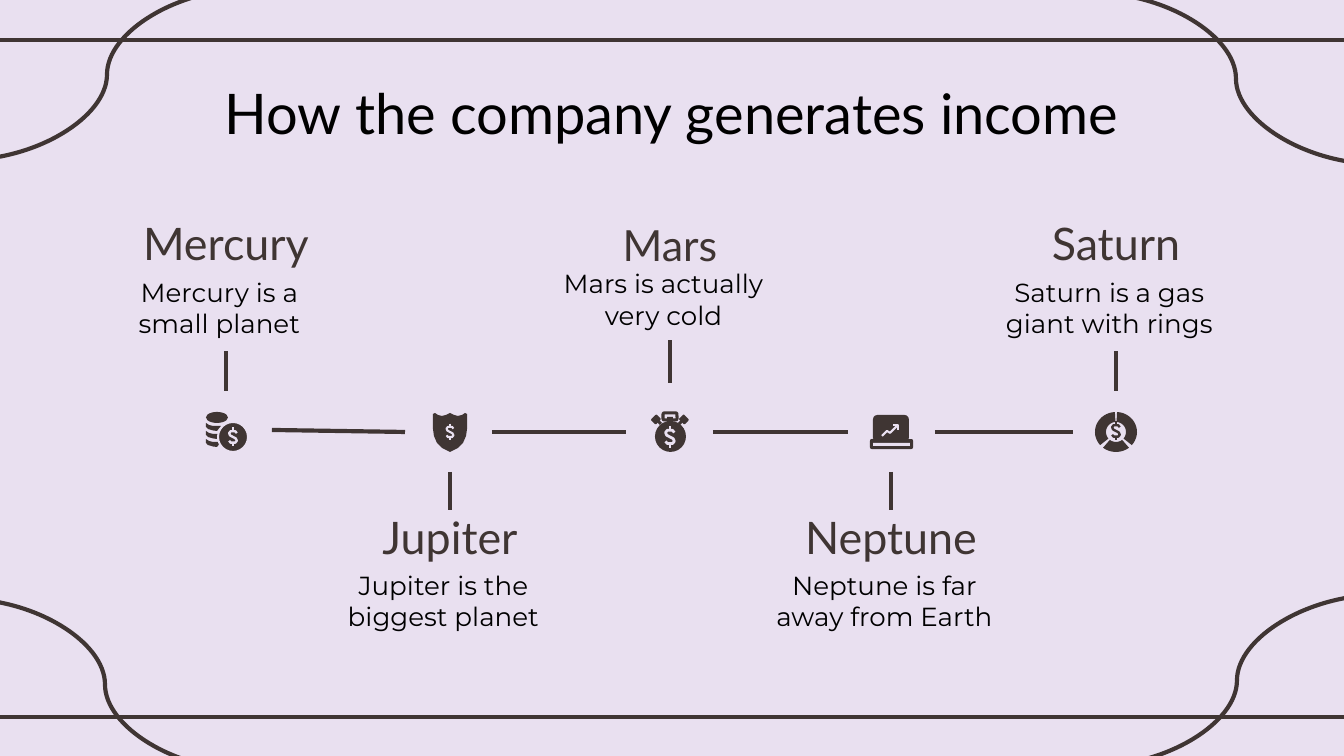
from math import cos, radians, sin

from lxml import etree
from pptx import Presentation
from pptx.dml.color import RGBColor
from pptx.enum.shapes import MSO_CONNECTOR, MSO_SHAPE
from pptx.enum.text import MSO_ANCHOR, MSO_AUTO_SIZE, PP_ALIGN
from pptx.oxml.ns import qn
from pptx.util import Emu, Pt

STRAIGHT, CURVE = MSO_CONNECTOR.STRAIGHT, MSO_CONNECTOR.CURVE
OVAL, ROUNDED, RECT = MSO_SHAPE.OVAL, MSO_SHAPE.ROUNDED_RECTANGLE, MSO_SHAPE.RECTANGLE
TOP, MIDDLE = MSO_ANCHOR.TOP, MSO_ANCHOR.MIDDLE
CENTER, NO_AUTOFIT = PP_ALIGN.CENTER, MSO_AUTO_SIZE.NONE

LILAC = RGBColor(0xE9, 0xE0, 0xF0)
BROWN = RGBColor(0x3F, 0x35, 0x33)
BLACK = RGBColor(0, 0, 0)
SCALE = 914400 / 134.4
AXIS_Y = 432

TITLE = "How the company generates income"
# heading, description, centre x, box width, heading (top, height, size),
# description (top, height), anchor, stem start y
UPPER = [
    ("Mercury", "Mercury is a small planet", 226, 238, (216, 43, 24), (276, 75), TOP, 391),
    ("Mars", "Mars is actually very cold", 670, 224, (219, 51, 23), (271, 69), MIDDLE, 383),
    ("Saturn", "Saturn is a gas giant with rings", 1116, 238, (216, 43, 24), (276, 75), TOP, 391),
]
LOWER = [
    ("Jupiter", "Jupiter is the biggest planet", 450, 238, (510, 47, 24), (569, 81), TOP, 472),
    ("Neptune", "Neptune is far away from Earth", 891, 238, (510, 47, 24), (569, 81), TOP, 472),
]
AXIS_LINKS = [(272, 430, 405, 432), (492, AXIS_Y, 626, AXIS_Y),
              (713, AXIS_Y, 848, AXIS_Y), (935, AXIS_Y, 1073, AXIS_Y)]
FRAME_LINES = [(-11, 40, 1355, 40), (-11, 717, 1355, 717)]
FRAME_CURVES = [(-36, 599, 246, 770), (1094, -7, 1378, 164),
                (1379, 595, 1095, 766), (249, -11, -35, 160)]


def px(value):
    return Emu(round(value * SCALE))


def add_line(ends, kind=STRAIGHT):
    line = slide.shapes.add_connector(kind, *map(px, ends))
    line.line.color.rgb = BROWN
    line.line.width = Pt(2.25)
    etree.SubElement(line._element.spPr, qn("a:effectLst"))
    return line


def write(shape, text, font, size, color, anchor=TOP, insets=(0, 0, 0, 0)):
    frame = shape.text_frame
    frame.word_wrap = True
    frame.auto_size = NO_AUTOFIT
    frame.vertical_anchor = anchor
    frame.margin_left, frame.margin_top, frame.margin_right, frame.margin_bottom = map(px, insets)
    paragraph = frame.paragraphs[0]
    paragraph.alignment = CENTER
    run = paragraph.add_run()
    run.text = text
    run.font.name, run.font.size, run.font.color.rgb = font, Pt(size), color
    return shape


def add_box(*box):
    return slide.shapes.add_textbox(*map(px, box))


def paint(shape, fill=None, stroke=None, width=2):
    shape.shadow.inherit = False
    if fill is None:
        shape.fill.background()
    else:
        shape.fill.solid()
        shape.fill.fore_color.rgb = fill
    if stroke is None:
        shape.line.fill.background()
    else:
        shape.line.color.rgb = stroke
        shape.line.width = px(width)
    return shape


def add_preset(kind, *box, **style):
    return paint(slide.shapes.add_shape(kind, *map(px, box)), **style)


def add_outline(*contours, closed=True, **style):
    scaled = [[(px(x), px(y)) for x, y in contour] for contour in contours]
    builder = slide.shapes.build_freeform(*scaled[0][0], scale=1.0)
    for number, contour in enumerate(scaled):
        if number:
            builder.move_to(*contour[0])
        builder.add_line_segments(contour[1:], close=closed)
    return paint(builder.convert_to_shape(), **style)


def add_dollar(x, y, size, color):
    """Draw a dollar sign of the given height, centred on x, y."""
    bend = [(.2, -.2), (.12, -.3), (-.12, -.3), (-.2, -.2), (-.15, -.08),
            (.15, .08), (.2, .2), (.12, .3), (-.12, .3), (-.2, .2)]
    strokes = [bend, [(0, -.5), (0, -.3)], [(0, .3), (0, .5)]]
    add_outline(*[[(x + dx * size, y + dy * size) for dx, dy in s] for s in strokes],
                closed=False, stroke=color, width=size / 8)


def coins_icon(x, y):
    add_preset(OVAL, x - 20, y - 20, 22, 11, fill=BROWN)
    band = [(-20, 0), (-17, 2), (-13, 3), (-9, 3), (-5, 3), (-9, 8),
            (-13, 7.5), (-18, 6), (-20, 4)]
    for top in (y - 9, y - 1, y + 7):
        add_outline([(x + dx, top + dy) for dx, dy in band], fill=BROWN)
    add_preset(OVAL, x - 8, y - 10, 30, 30, fill=BROWN, stroke=LILAC)
    add_dollar(x + 7, y + 5, 19, LILAC)


def shield_icon(x, y):
    half = [(0, -19), (4, -17), (8, -16), (12, -17), (15, -19), (17, -18),
            (17, -3), (16, 4), (13, 11), (8, 16), (0, 20)]
    left = [(-dx, dy) for dx, dy in half[-2:0:-1]]
    add_outline([(x + dx, y + dy) for dx, dy in half + left], fill=BROWN)
    add_dollar(x, y, 17, LILAC)


def stopwatch_icon(x, y):
    add_preset(ROUNDED, x - 7, y - 19, 14, 7, stroke=BROWN, width=3)
    add_preset(RECT, x - 3, y - 15, 6, 6, fill=BROWN)
    for side in (-1, 1):
        add_preset(ROUNDED, x + 14 * side - 4, y - 16, 8, 7, fill=BROWN).rotation = 45 * side
        add_outline([(x + 12 * side, y - 11), (x + 9 * side, y - 8)],
                    closed=False, stroke=BROWN, width=3)
    add_preset(OVAL, x - 15, y - 11, 31, 31, fill=BROWN)
    add_dollar(x, y + 5, 22, LILAC)


def laptop_icon(x, y):
    add_preset(ROUNDED, x - 18, y - 17, 36, 27, fill=BROWN)
    add_preset(ROUNDED, x - 21, y + 7, 43, 10, fill=BROWN)
    add_preset(RECT, x - 18, y + 11, 37, 3, fill=LILAC)
    trend = [(-9, 4), (-4, -1), (-1, 1), (7, -7)]
    head = [(2, -7), (7, -7), (7, -2)]
    add_outline(*[[(x + dx, y + dy) for dx, dy in part] for part in (trend, head)],
                closed=False, stroke=LILAC)


def chart_icon(x, y):
    for start, end in ((-87, 41), (52, 128), (139, 267)):
        angles = [radians(start + (end - start) * step / 16) for step in range(17)]
        outer = [(x + 21 * cos(a), y + 20 * sin(a)) for a in angles]
        inner = [(x + 10 * cos(a), y + 10 * sin(a)) for a in reversed(angles)]
        add_outline(outer + inner, fill=BROWN)
    add_dollar(x, y - 1, 19, BROWN)


def add_planet(heading, description, x, width, heading_row, description_row, anchor, stem_y):
    """Write both texts and return them with the start of their stem."""
    top, height, size = heading_row
    name = write(add_box(x - width / 2, top, width, height), heading,
                 "Lato", size, BROWN, anchor)
    top, height = description_row
    detail = write(add_box(x - width / 2, top, width, height), description,
                   "Montserrat", 14, BLACK, anchor, insets=(0, 0, 13, 13))
    return name, detail, (x, stem_y, x, AXIS_Y)


deck = Presentation()
deck.slide_width, deck.slide_height = px(1344), px(756)
slide = deck.slides.add_slide(deck.slide_layouts[5])
slide.background.fill.solid()
slide.background.fill.fore_color.rgb = LILAC

for ends in FRAME_LINES + AXIS_LINKS:
    add_line(ends)
for ends in FRAME_CURVES:
    add_line(ends, CURVE)

title = slide.shapes.title
title.left, title.top, title.width, title.height = map(px, (105, 66, 1134, 85))
write(title, TITLE, "Lato", 30, BLACK, insets=(13, 13, 13, 13))

for planet in UPPER:
    name, detail, stem = add_planet(*planet)
    add_line(stem).end_connect(detail, 2)
for planet in LOWER:
    name, detail, stem = add_planet(*planet)
    add_line(stem).end_connect(name, 0)

ICONS = [(coins_icon, 226), (shield_icon, 450), (stopwatch_icon, 670),
         (laptop_icon, 891), (chart_icon, 1116)]
for draw_icon, x in ICONS:
    draw_icon(x, AXIS_Y)

deck.save("out.pptx")
